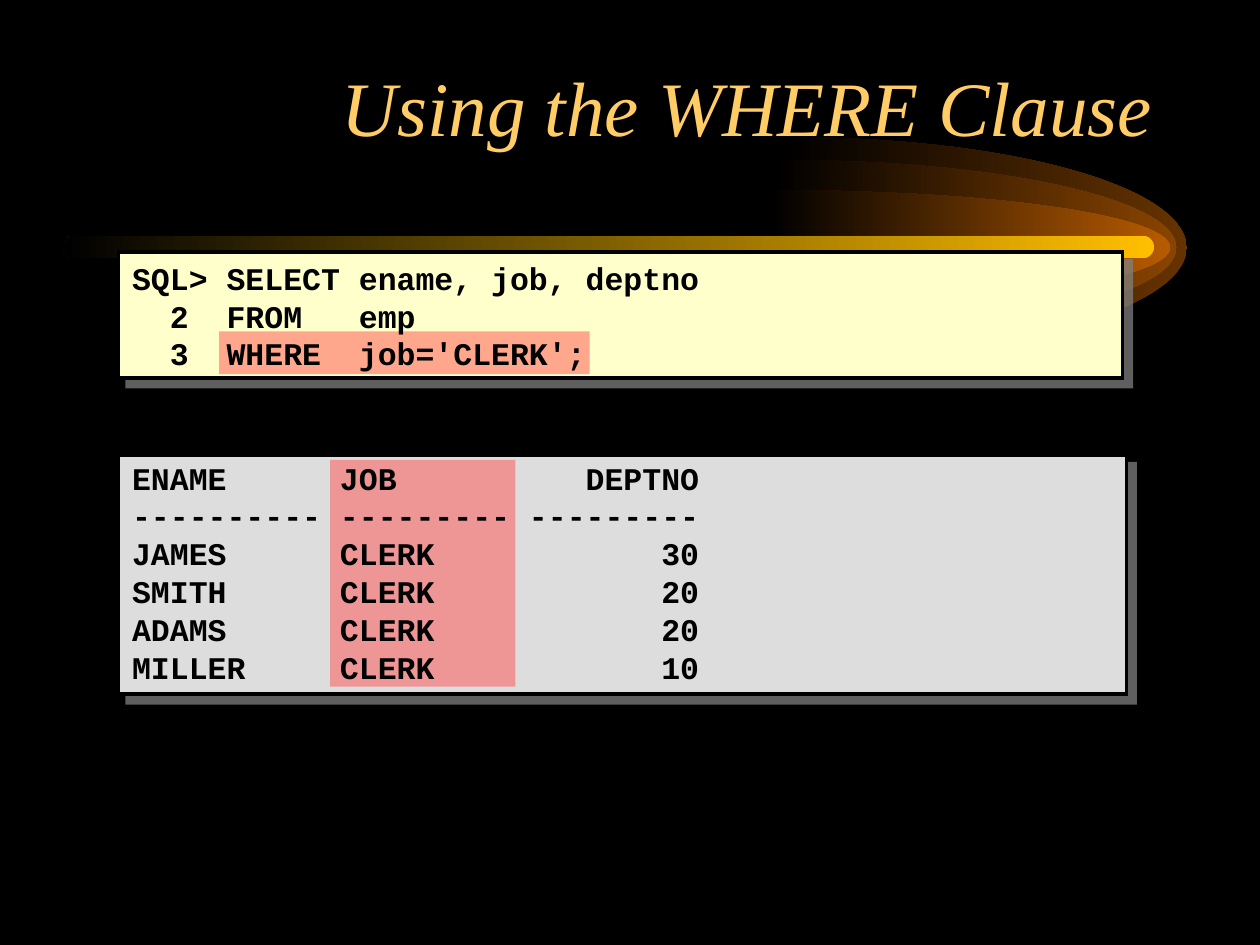
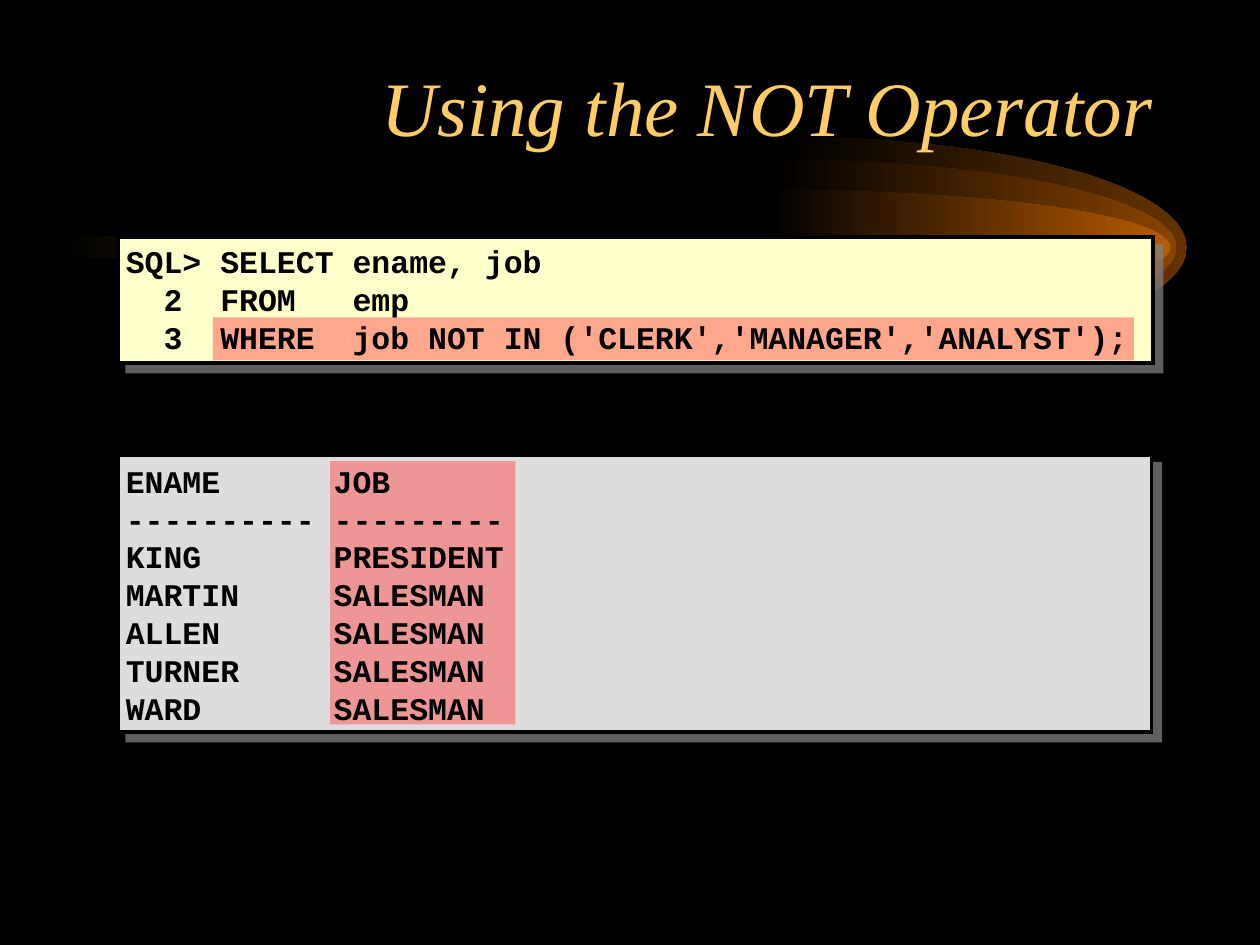
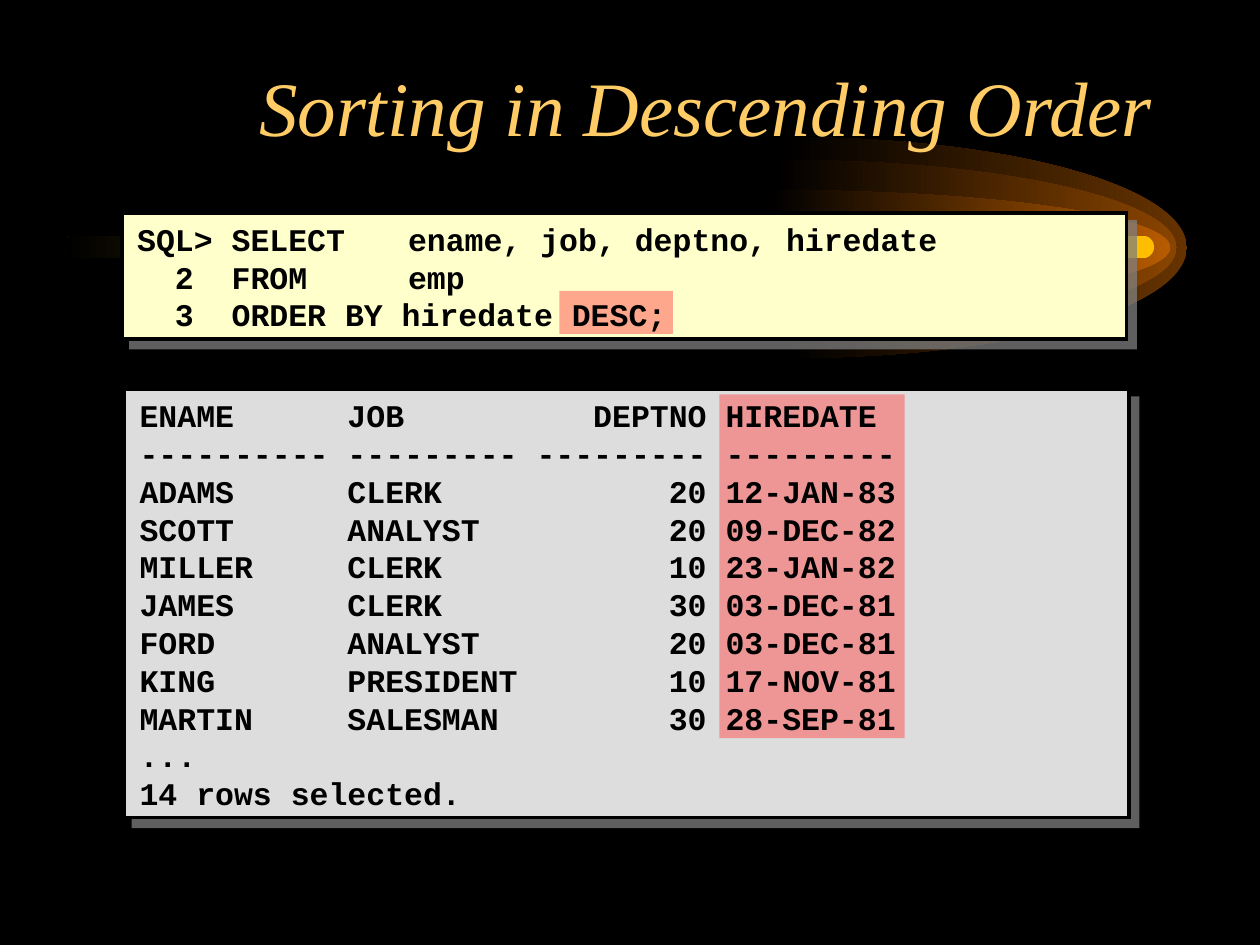
from lxml import etree
from pptx import Presentation
from pptx.dml.color import RGBColor
from pptx.enum import shapes, text
from pptx.oxml import parse_xml
from pptx.oxml.ns import nsdecls, qn
from pptx.util import Inches, Pt

BLACK = RGBColor(0x00, 0x00, 0x00)
GOLD = RGBColor(0xFF, 0xCC, 0x66)
BAR_YELLOW = RGBColor(0xFF, 0xBF, 0x00)
CODE_CREAM = RGBColor(0xFF, 0xFF, 0xCC)
RESULT_GREY = RGBColor(0xDD, 0xDD, 0xDD)
HIGHLIGHT_RED = RGBColor(0xFF, 0x50, 0x50)

TITLE_FONT, CODE_FONT = "Times New Roman", "Courier New"
TITLE_BOX = (0.75, 0.42, 8.5, 1.25)
BAR_BOX = (0.5, 1.87, 8.66, 0.18)
# Comet glow, outermost layer first: left, top, width, height, colour
GLOWS = [
    (6.24, 1.09, 3.18, 1.75, RGBColor(0x66, 0x33, 0x00)),
    (6.16, 1.27, 3.18, 1.39, RGBColor(0x89, 0x44, 0x00)),
    (6.11, 1.51, 3.18, 0.91, RGBColor(0xB7, 0x5B, 0x00)),
]
GLOW_TAIL = 0.05  # part of each layer left of the ellipse's centre
ARC = 0.55  # handle length of a quarter ellipse, as a share of its radius
CODE_TAB = 2


def shadow_xml(color, alpha, distance):
    """Return a sharp shadow towards the lower right."""
    return parse_xml(
        f'<a:effectLst {nsdecls("a")}>'
        f'<a:outerShdw blurRad="0" dist="{Pt(distance)}" dir="2700000" algn="ctr" rotWithShape="0">'
        f'<a:srgbClr val="{color}"><a:alpha val="{alpha * 1000}"/></a:srgbClr>'
        '</a:outerShdw></a:effectLst>'
    )


# Boxes are left, top, width, height; highlights and text are measured from their panel.
SLIDES = [
    {
        "title": "Using the WHERE Clause",
        "query_box": (0.94, 2, 7.97, 1),
        "query_highlight": (0.8, 0.63, 2.94, 0.34),
        "query_text": (0.01, -0.01, 8, 1.03),
        "query": """\
SQL> SELECT ename, job, deptno
  2  FROM   emp
  3  WHERE  job='CLERK';""",
        "result_box": (0.94, 3.61, 8, 1.9),
        "result_highlight": (1.68, 0.04, 1.47, 1.8),
        "result_text": (0.01, -0.02, 8.03, 1.9),
        "result": """\
ENAME      JOB          DEPTNO
---------- --------- ---------
JAMES      CLERK            30
SMITH      CLERK            20
ADAMS      CLERK            20
MILLER     CLERK            10""",
    },
    {
        "title": "Using the NOT Operator",
        "query_box": (0.94, 1.88, 8.21, 1),
        "query_highlight": (0.75, 0.64, 7.31, 0.34),
        "query_text": (-0.04, -0.02, 8.24, 1.03),
        "query": """\
SQL> SELECT ename, job
  2  FROM   emp
  3  WHERE  job NOT IN ('CLERK','MANAGER','ANALYST');""",
        "result_box": (0.94, 3.61, 8.2, 2.2),
        "result_highlight": (1.68, 0.05, 1.47, 2.09),
        "result_text": (-0.04, -0.01, 8.23, 2.23),
        "result": """\
ENAME      JOB
---------- ---------
KING       PRESIDENT
MARTIN     SALESMAN
ALLEN      SALESMAN
TURNER     SALESMAN
WARD       SALESMAN""",
    },
    {
        "title": "Sorting in Descending Order",
        "query_box": (0.97, 1.69, 7.97, 1),
        "query_highlight": (3.47, 0.62, 0.9, 0.34),
        "query_text": (0.02, -0.01, 8, 1.03),
        "query": """\
SQL> SELECT  \t ename, job, deptno, hiredate
  2  FROM    \t emp
  3  ORDER BY hiredate DESC;""",
        "result_box": (0.99, 3.09, 7.97, 3.4),
        "result_highlight": (4.72, 0.04, 1.47, 2.73),
        "result_text": (0.02, -0.01, 8, 3.43),
        "result": """\
ENAME      JOB          DEPTNO HIREDATE
---------- --------- --------- ---------
ADAMS      CLERK            20 12-JAN-83
SCOTT      ANALYST          20 09-DEC-82
MILLER     CLERK            10 23-JAN-82
JAMES      CLERK            30 03-DEC-81
FORD       ANALYST          20 03-DEC-81
KING       PRESIDENT        10 17-NOV-81
MARTIN     SALESMAN         30 28-SEP-81
...
14 rows selected.""",
    },
]


def add_block(slide, box, color, kind=shapes.MSO_SHAPE.RECTANGLE):
    """Add a plain filled shape without line or shadow."""
    block = slide.shapes.add_shape(kind, *map(Inches, box))
    block.shadow.inherit = False
    block.fill.solid()
    block.fill.fore_color.rgb = color
    block.line.fill.background()
    return block


def fade_to_black(shape, color):
    """Fade the fill from color at the right to black at the left."""
    shape.fill.gradient()
    shape.fill.gradient_angle = 180
    for stop, stop_color, position in zip(shape.fill.gradient_stops, (color, BLACK), (0, 1)):
        stop.color.rgb = stop_color
        stop.position = position


def add_glow(slide, left, top, width, height, color):
    """Add the right half of an ellipse as one layer of the glow."""
    center, middle = left + GLOW_TAIL, top + height / 2
    right, bottom = left + width, top + height
    bend_x = center + ARC * (right - center)
    bend_y = ARC * height / 2
    points = [
        (center, top),
        (bend_x, top), (right, middle - bend_y), (right, middle),
        (right, middle + bend_y), (bend_x, bottom), (center, bottom),
        (left, bottom), (center, middle),
    ]
    start, *others = [(Inches(x), Inches(y)) for x, y in points]
    outline = slide.shapes.build_freeform(*start)
    outline.add_line_segments(others, close=True)
    glow = outline.convert_to_shape()

    # Turn the first two groups of three points into curves
    segments = list(glow._element.iter(qn("a:lnTo")))
    for first in (0, 3):
        curve = etree.Element(qn("a:cubicBezTo"))
        segments[first].addprevious(curve)
        for segment in segments[first:first + 3]:
            curve.append(segment[0])
            segment.getparent().remove(segment)

    glow.shadow.inherit = False
    glow.line.fill.background()
    fade_to_black(glow, color)


def add_comet(slide):
    for glow in GLOWS:
        add_glow(slide, *glow)
    bar = add_block(slide, BAR_BOX, BAR_YELLOW, shapes.MSO_SHAPE.ROUNDED_RECTANGLE)
    bar.adjustments[0] = 0.5
    fade_to_black(bar, BAR_YELLOW)


def add_title(slide, title):
    frame = slide.shapes.add_textbox(*map(Inches, TITLE_BOX)).text_frame
    frame.word_wrap = True
    frame.text = title
    line = frame.paragraphs[0]
    line.alignment = text.PP_ALIGN.RIGHT
    line.font.name, line.font.size = TITLE_FONT, Pt(44)
    line.font.italic = True
    line.font.color.rgb = GOLD
    line.runs[0]._r.get_or_add_rPr().append(shadow_xml(BLACK, 100, 3))


def add_panel(slide, box, color):
    """Add an outlined panel with sharp corners and a shadow."""
    panel = add_block(slide, box, color)
    panel.line.color.rgb = BLACK
    panel.line.width = Pt(2)
    properties = panel._element.spPr
    etree.SubElement(properties.find(qn("a:ln")), qn("a:miter"), lim="800000")
    properties.remove(properties.find(qn("a:effectLst")))
    properties.append(shadow_xml("808080", 75, 7.1))


def add_highlight(slide, box):
    """Add a half-transparent marker."""
    marker = add_block(slide, box, HIGHLIGHT_RED)
    marker_color = marker._element.spPr.find(qn("a:solidFill"))[0]
    etree.SubElement(marker_color, qn("a:alpha"), val="50000")


def add_listing(slide, box, listing):
    """Add monospaced lines."""
    frame = slide.shapes.add_textbox(*map(Inches, box)).text_frame
    frame.word_wrap = True
    frame.vertical_anchor = text.MSO_ANCHOR.MIDDLE
    frame.text = listing
    for line in frame.paragraphs:
        tabs = etree.SubElement(line._p.get_or_add_pPr(), qn("a:tabLst"))
        etree.SubElement(tabs, qn("a:tab"), pos=str(Inches(CODE_TAB)), algn="l")
        line.font.name, line.font.size = CODE_FONT, Pt(18)
        line.font.bold = True
        line.font.color.rgb = BLACK


def add_query_slide(prs, content):
    slide = prs.slides.add_slide(prs.slide_layouts[6])
    parts = ("query", "result")

    def inside(part, region):
        left, top, *_ = content[f"{part}_box"]
        dx, dy, width, height = content[f"{part}_{region}"]
        return left + dx, top + dy, width, height

    add_comet(slide)
    for part, color in zip(parts, (CODE_CREAM, RESULT_GREY)):
        add_panel(slide, content[f"{part}_box"], color)
    add_title(slide, content["title"])
    for part in parts:
        add_highlight(slide, inside(part, "highlight"))
    for part in parts:
        add_listing(slide, inside(part, "text"), content[part])


def main():
    prs = Presentation()
    prs.slide_width, prs.slide_height = Inches(10), Inches(7.5)
    backdrop = prs.slide_master.background.fill
    backdrop.solid()
    backdrop.fore_color.rgb = BLACK
    for content in SLIDES:
        add_query_slide(prs, content)
    prs.save("out.pptx")


if __name__ == "__main__":
    main()
